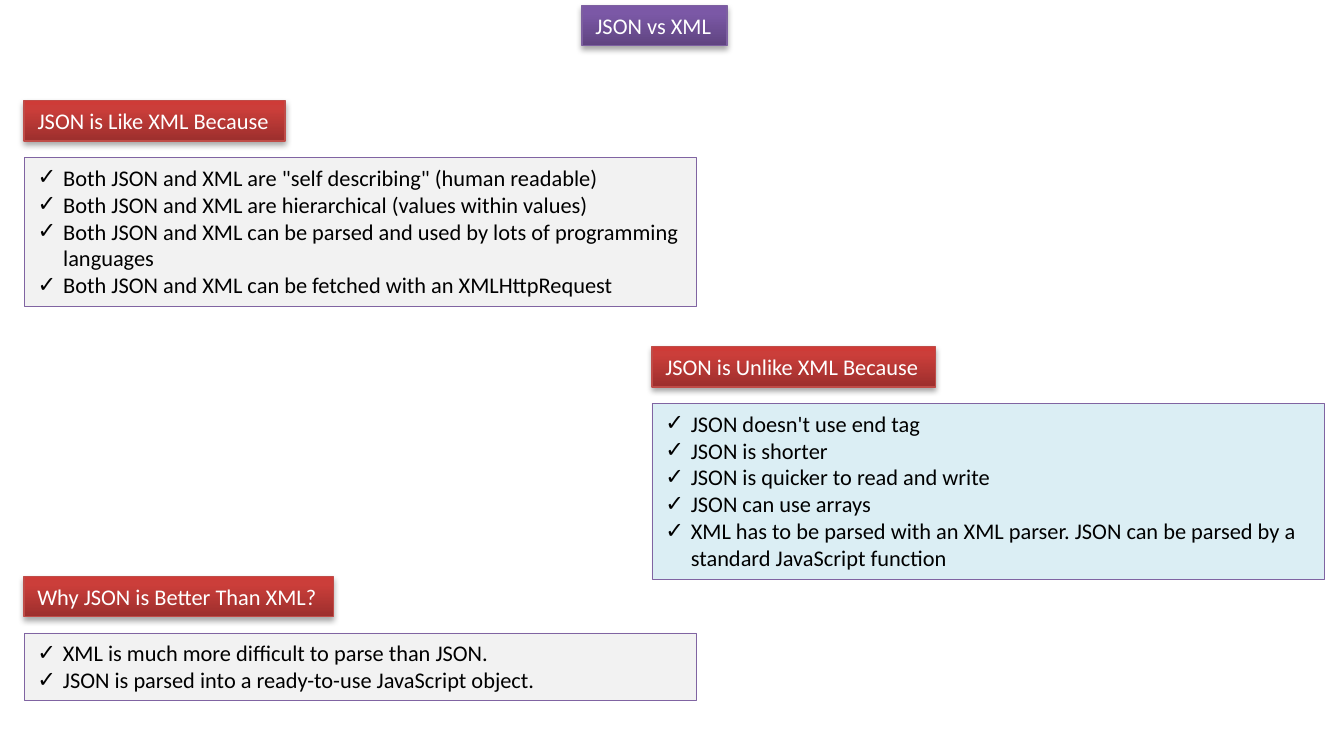
import pptx
import pptx.dml.color
import pptx.enum.text
import pptx.oxml
import pptx.oxml.ns
import pptx.util
from dataclasses import dataclass
from pptx.util import Inches

A_NS = pptx.oxml.ns.nsdecls("a")


@dataclass(frozen=True)
class Theme:
    font: str = "Calibri"
    size: float = 12
    text: str = "000000"
    label_text: str = "FFFFFF"
    purple: tuple = ("5F4480", "7B58A6", "7C57A8")
    purple_line: str = "7D60A0"
    red: tuple = ("9C2F2D", "CB3E3A", "CE3B37")
    red_line: str = "BF4C48"
    grey: str = "F2F2F2"
    blue: str = "DBEEF4"
    list_line: str = "8064A2"


THEME = Theme()
STOPS = (0, 80, 100)
LABEL_HEIGHT = 0.3
LABEL_RISE = 0.42
LIST_WIDTH = 5
INDENT = 0.19

# label, label width, list left, list top, list height, list fill, points
SECTIONS = [
    ("JSON is Like XML Because", 1.94, 0.18, 1.17, 1.11, THEME.grey, [
        'Both JSON and XML are "self describing" (human readable)',
        "Both JSON and XML are hierarchical (values within values)",
        "Both JSON and XML can be parsed and used by lots of programming languages",
        "Both JSON and XML can be fetched with an XMLHttpRequest",
    ]),
    ("JSON is Unlike XML Because", 2.11, 4.85, 3, 1.31, THEME.blue, [
        "JSON doesn't use end tag",
        "JSON is shorter",
        "JSON is quicker to read and write",
        "JSON can use arrays",
        "XML has to be parsed with an XML parser. "
        "JSON can be parsed by a standard JavaScript function",
    ]),
    ("Why JSON is Better Than XML?", 2.3, 0.18, 4.71, 0.5, THEME.grey, [
        "XML is much more difficult to parse than JSON.",
        "JSON is parsed into a ready-to-use JavaScript object.",
    ]),
]


def rgb(value):
    return pptx.dml.color.RGBColor.from_string(value)


def place(sp, left, top, width, height):
    sp.left, sp.top = Inches(left), Inches(top)
    sp.width, sp.height = Inches(width), Inches(height)


def set_line(sp, color, width):
    sp.line.color.rgb = rgb(color)
    sp.line.width = pptx.util.Pt(width)


def set_gradient(sp, colors):
    """Fill from bottom to top."""
    sp.fill.gradient()
    sp.fill.gradient_angle = 90
    stops = sp.element.spPr.find(".//" + pptx.oxml.ns.qn("a:gsLst"))
    stops.clear()
    for pos, color in zip(STOPS, colors):
        stops.append(pptx.oxml.parse_xml(
            f'<a:gs {A_NS} pos="{pos * 1000}"><a:srgbClr val="{color}"/></a:gs>'))


def add_shadow(sp):
    sp.shadow.inherit = False
    effects = sp.element.spPr.find(pptx.oxml.ns.qn("a:effectLst"))
    effects.append(pptx.oxml.parse_xml(
        f'<a:outerShdw {A_NS} blurRad="40000" dist="23000" dir="5400000" '
        'rotWithShape="0"><a:srgbClr val="000000"><a:alpha val="35000"/>'
        '</a:srgbClr></a:outerShdw>'))


def add_bullet(p):
    pPr = p._p.get_or_add_pPr()
    pPr.set("marL", str(Inches(INDENT)))
    pPr.set("indent", str(-Inches(INDENT)))
    pPr.append(pptx.oxml.parse_xml(f'<a:buFont {A_NS} typeface="{THEME.font}"/>'))
    pPr.append(pptx.oxml.parse_xml(f'<a:buChar {A_NS} char="✓"/>'))


def write(sp, lines, color, bullets=False):
    tf = sp.text_frame
    tf.text = "\n".join(lines)
    tf.word_wrap = True
    tf.auto_size = pptx.enum.text.MSO_AUTO_SIZE.NONE
    tf.vertical_anchor = pptx.enum.text.MSO_ANCHOR.TOP
    for p in tf.paragraphs:
        p.alignment = pptx.enum.text.PP_ALIGN.LEFT
        p.space_before = pptx.util.Pt(0)
        if bullets:
            add_bullet(p)
        for r in p.runs:
            r.font.name = THEME.font
            r.font.size = pptx.util.Pt(THEME.size)
            r.font.bold = False
            r.font.color.rgb = rgb(color)


def format_label(sp, text, box, colors, line):
    write(sp, [text], THEME.label_text)
    place(sp, *box)
    set_gradient(sp, colors)
    set_line(sp, line, 0.75)
    add_shadow(sp)


def format_list(sp, points, box, fill):
    write(sp, points, THEME.text, bullets=True)
    place(sp, *box)
    sp.fill.solid()
    sp.fill.fore_color.rgb = rgb(fill)
    set_line(sp, THEME.list_line, 0.25)


def main():
    prs = pptx.Presentation()
    prs.slide_width, prs.slide_height = Inches(10), Inches(5.5)
    # The comparison layout holds a title and two label and list pairs
    s = prs.slides.add_slide(prs.slide_layouts[4])

    # Title
    format_label(s.shapes.title, "JSON vs XML", (4.33, 0.04, 1.08, LABEL_HEIGHT),
                 THEME.purple, THEME.purple_line)

    # Sections: the third pair uses text boxes
    bodies = [sp for sp in s.placeholders if sp.placeholder_format.idx > 0]
    bodies += [s.shapes.add_textbox(0, 0, 0, 0) for _ in range(2)]
    pairs = zip(bodies[::2], bodies[1::2])
    for (label, list_box), section in zip(pairs, SECTIONS):
        text, width, left, top, height, fill, points = section
        format_list(list_box, points, (left, top, LIST_WIDTH, height), fill)
        format_label(label, text, (left, top - LABEL_RISE, width, LABEL_HEIGHT),
                     THEME.red, THEME.red_line)

    prs.save("out.pptx")


if __name__ == "__main__":
    main()
